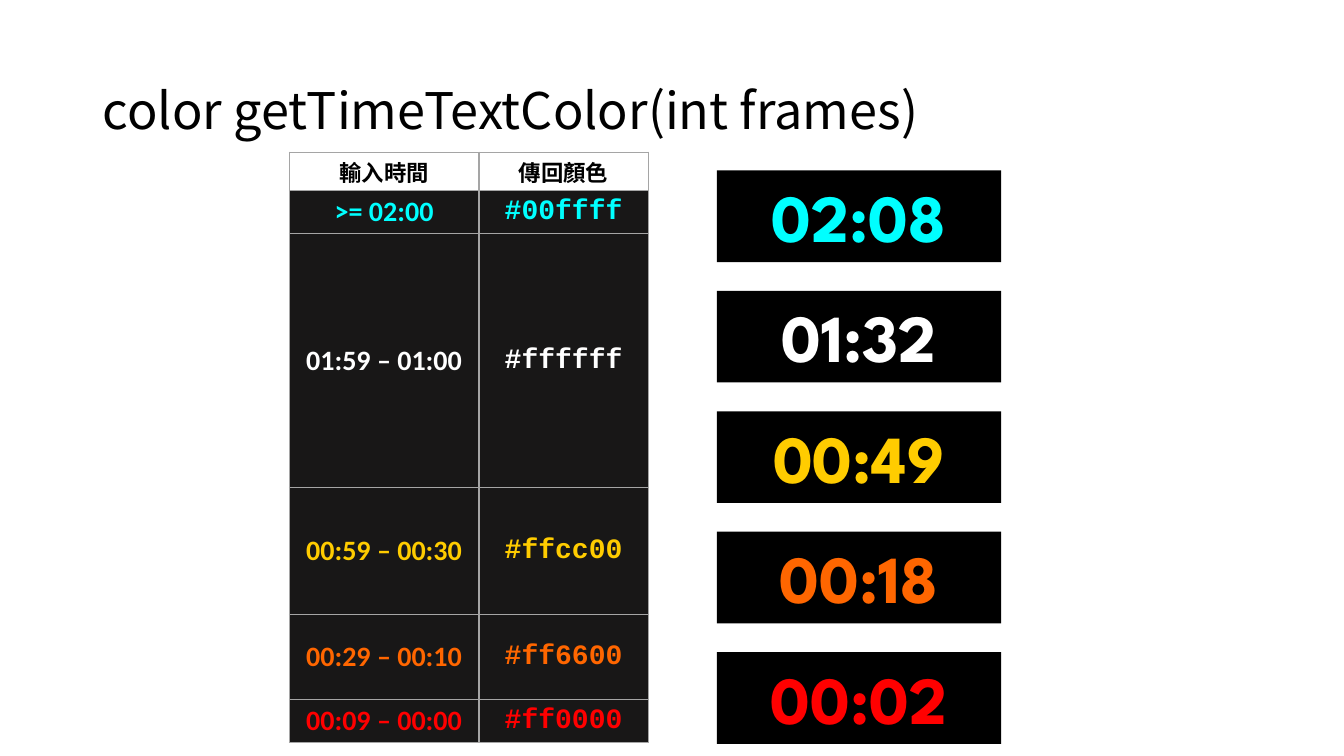
from lxml import etree
from pptx import Presentation
from pptx.dml.color import RGBColor
from pptx.enum.shapes import MSO_SHAPE
from pptx.enum.text import MSO_ANCHOR, MSO_AUTO_SIZE, PP_ALIGN
from pptx.oxml.ns import qn
from pptx.util import Inches, Pt

CJK_FONT = "Noto Sans CJK SC"
HEADINGS = ("輸入時間", "傳回顏色")
# Time range, colour, sample time, row height
TIME_COLORS = [
    (">= 02:00", "00ffff", "02:08", 0.43),
    ("01:59 – 01:00", "ffffff", "01:32", 2.52),
    ("00:59 – 00:30", "ffcc00", "00:49", 1.26),
    ("00:29 – 00:10", "ff6600", "00:18", 0.84),
    ("00:09 – 00:00", "ff0000", "00:02", 0.43),
]


def color(hex_string):
    return RGBColor.from_string(hex_string.upper())


def paint(target, hex_string):
    target.fill.solid()
    target.fill.fore_color.rgb = color(hex_string)


def write(text_frame, text, font_name, size, hex_string, bold=True, align=PP_ALIGN.CENTER):
    text_frame.text = text
    paragraph = text_frame.paragraphs[0]
    paragraph.alignment = align
    font = paragraph.font
    font.name, font.size, font.bold = font_name, Pt(size), bold
    font.color.rgb = color(hex_string)
    if font_name == CJK_FONT:
        properties = paragraph._p.pPr.find(qn("a:defRPr"))
        etree.SubElement(properties, qn("a:ea")).set("typeface", font_name)
    return paragraph


def add_borders(cell, hex_string):
    properties = cell._tc.get_or_add_tcPr()
    for side in ("lnL", "lnR", "lnT", "lnB"):
        line = etree.SubElement(properties, qn(f"a:{side}"), w=str(Pt(1)))
        fill = etree.SubElement(line, qn("a:solidFill"))
        etree.SubElement(fill, qn("a:srgbClr"), val=hex_string)


def fill_cell(cell, text, font_name, size, text_color, background):
    cell.vertical_anchor = MSO_ANCHOR.MIDDLE
    cell.margin_top = cell.margin_bottom = Inches(0.02)
    add_borders(cell, "A5A5A5")
    paint(cell, background)
    write(cell.text_frame, text, font_name, size, text_color)


def add_title(slide, left, top, width, height):
    title = slide.shapes.title
    title.left, title.top = Inches(left), Inches(top)
    title.width, title.height = Inches(width), Inches(height)
    frame = title.text_frame
    frame.vertical_anchor = MSO_ANCHOR.MIDDLE
    frame.auto_size = MSO_AUTO_SIZE.NONE
    paragraph = write(frame, "color getTimeTextColor(int frames)", CJK_FONT, 36,
                      "000000", bold=False, align=PP_ALIGN.LEFT)
    paragraph.line_spacing = 0.9


def add_color_table(slide, left, top, width, height):
    table = slide.shapes.add_table(len(TIME_COLORS) + 1, 2, Inches(left), Inches(top),
                                   Inches(width), Inches(height)).table
    first_width = 1.88
    table.columns[0].width = Inches(first_width)
    table.columns[1].width = Inches(width - first_width)

    # Header takes the height left by the time rows
    table.rows[0].height = Inches(height - sum(row[3] for row in TIME_COLORS))
    for column, heading in enumerate(HEADINGS):
        fill_cell(table.cell(0, column), heading, CJK_FONT, 16, "000000", "FFFFFF")

    for row, (time_range, text_color, _, row_height) in enumerate(TIME_COLORS, 1):
        table.rows[row].height = Inches(row_height)
        for column, (text, font_name) in enumerate(
                [(time_range, "Calibri"), (f"#{text_color}", "Courier New")]):
            fill_cell(table.cell(row, column), text, font_name, 20, text_color, "181717")


def add_clocks(slide, left, top, width, height):
    clock_height = 0.91
    step = (height - clock_height) / (len(TIME_COLORS) - 1)
    for index, (_, text_color, sample, _) in enumerate(TIME_COLORS):
        clock = slide.shapes.add_shape(MSO_SHAPE.RECTANGLE, Inches(left),
                                       Inches(top + index * step),
                                       Inches(width), Inches(clock_height))
        clock.shadow.inherit = False
        paint(clock, "000000")
        clock.line.fill.background()
        frame = clock.text_frame
        frame.word_wrap = True
        frame.vertical_anchor = MSO_ANCHOR.TOP
        frame.auto_size = MSO_AUTO_SIZE.SHAPE_TO_FIT_TEXT
        write(frame, sample, "League Spartan", 48, text_color)


presentation = Presentation()
presentation.slide_width, presentation.slide_height = Inches(13.33), Inches(7.5)
slide = presentation.slides.add_slide(presentation.slide_layouts[5])
add_title(slide, 0.92, 0.4, 11.5, 1.45)
add_color_table(slide, 2.87, 1.51, 3.56, 5.86)
add_clocks(slide, 7.11, 1.69, 2.82, 5.69)
presentation.save("out.pptx")
